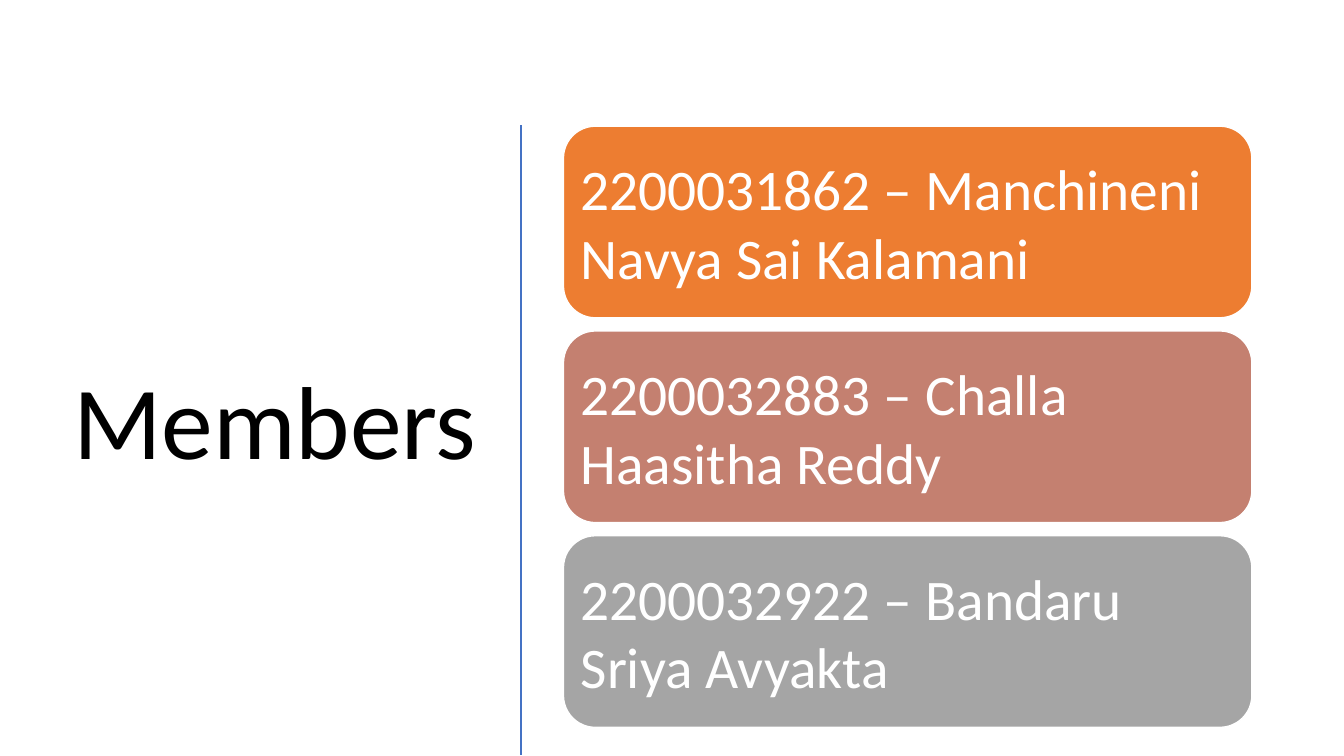
from dataclasses import dataclass

from lxml.etree import SubElement
from pptx import Presentation
from pptx.dml.color import RGBColor
from pptx.enum.shapes import MSO_CONNECTOR, MSO_SHAPE
from pptx.enum.text import MSO_ANCHOR, PP_ALIGN
from pptx.oxml.ns import qn
from pptx.util import Cm, Pt


@dataclass(frozen=True)
class Theme:
    font: str = "Calibri"
    title_size: int = 74
    member_size: int = 41
    ink: str = "000000"
    paper: str = "FFFFFF"
    divider: str = "4472C4"
    cards: tuple = ("ED7D31", "C48070", "A5A5A5")


class SlideBuilder:
    def __init__(self, slide, theme):
        self.slide = slide
        self.theme = theme

    def set_text(self, frame, text, size, color, align, margin):
        frame.word_wrap = True
        frame.vertical_anchor = MSO_ANCHOR.MIDDLE
        frame.margin_left = frame.margin_right = Cm(margin)
        frame.margin_top = frame.margin_bottom = Cm(margin)
        paragraph = frame.paragraphs[0]
        paragraph.text = text
        paragraph.alignment = align
        paragraph.font.name = self.theme.font
        paragraph.font.size = Pt(size)
        paragraph.font.color.rgb = RGBColor.from_string(color)
        return paragraph

    def title(self, text, left, top, width, height):
        box = self.slide.shapes.add_textbox(Cm(left), Cm(top), Cm(width), Cm(height))
        heading = self.set_text(box.text_frame, text, self.theme.title_size,
                                self.theme.ink, PP_ALIGN.RIGHT, 0.25)
        heading.line_spacing = 0.9

    def divider(self, x, top, bottom):
        line = self.slide.shapes.add_connector(
            MSO_CONNECTOR.STRAIGHT, Cm(x), Cm(top), Cm(x), Cm(bottom))
        line.line.color.rgb = RGBColor.from_string(self.theme.divider)
        line.line.width = Pt(2)
        SubElement(line.element.spPr, qn("a:effectLst"))

    def card(self, text, color, left, top, width, height):
        card = self.slide.shapes.add_shape(
            MSO_SHAPE.ROUNDED_RECTANGLE, Cm(left), Cm(top), Cm(width), Cm(height))
        card.shadow.inherit = False
        card.fill.solid()
        card.fill.fore_color.rgb = RGBColor.from_string(color)
        card.line.color.rgb = RGBColor.from_string(self.theme.paper)
        card.line.width = Pt(1)
        # The rounded corners already inset the text a little
        self.set_text(card.text_frame, text, self.theme.member_size,
                      self.theme.paper, PP_ALIGN.LEFT, 0.2)


def main():
    presentation = Presentation()
    presentation.slide_width = Cm(33.87)
    presentation.slide_height = Cm(19.05)
    theme = Theme()
    builder = SlideBuilder(
        presentation.slides.add_slide(presentation.slide_layouts[6]), theme)

    # Heading and divider
    builder.title("Members", 1.32, 2.97, 10.95, 15.52)
    builder.divider(13.13, 3.15, 19.03)

    # One card per member
    members = (
        "2200031862 – Manchineni Navya Sai Kalamani",
        "2200032883 – Challa Haasitha Reddy",
        "2200032922 – Bandaru Sriya Avyakta",
    )
    first_top, pitch = 3.18, 5.16
    for row, (member, color) in enumerate(zip(members, theme.cards)):
        builder.card(member, color, 14.2, first_top + row * pitch, 17.35, 4.83)

    presentation.save("out.pptx")


if __name__ == "__main__":
    main()
